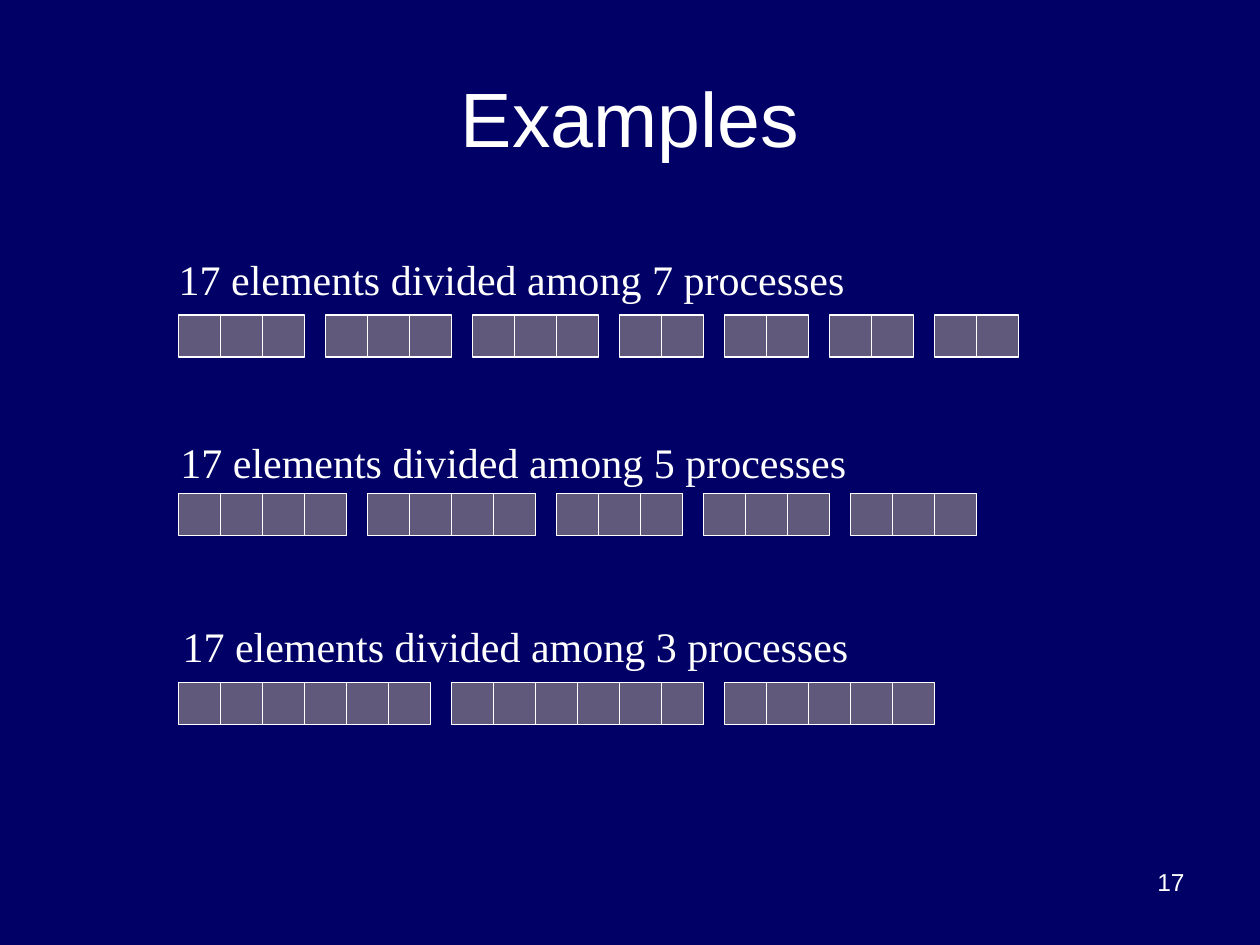
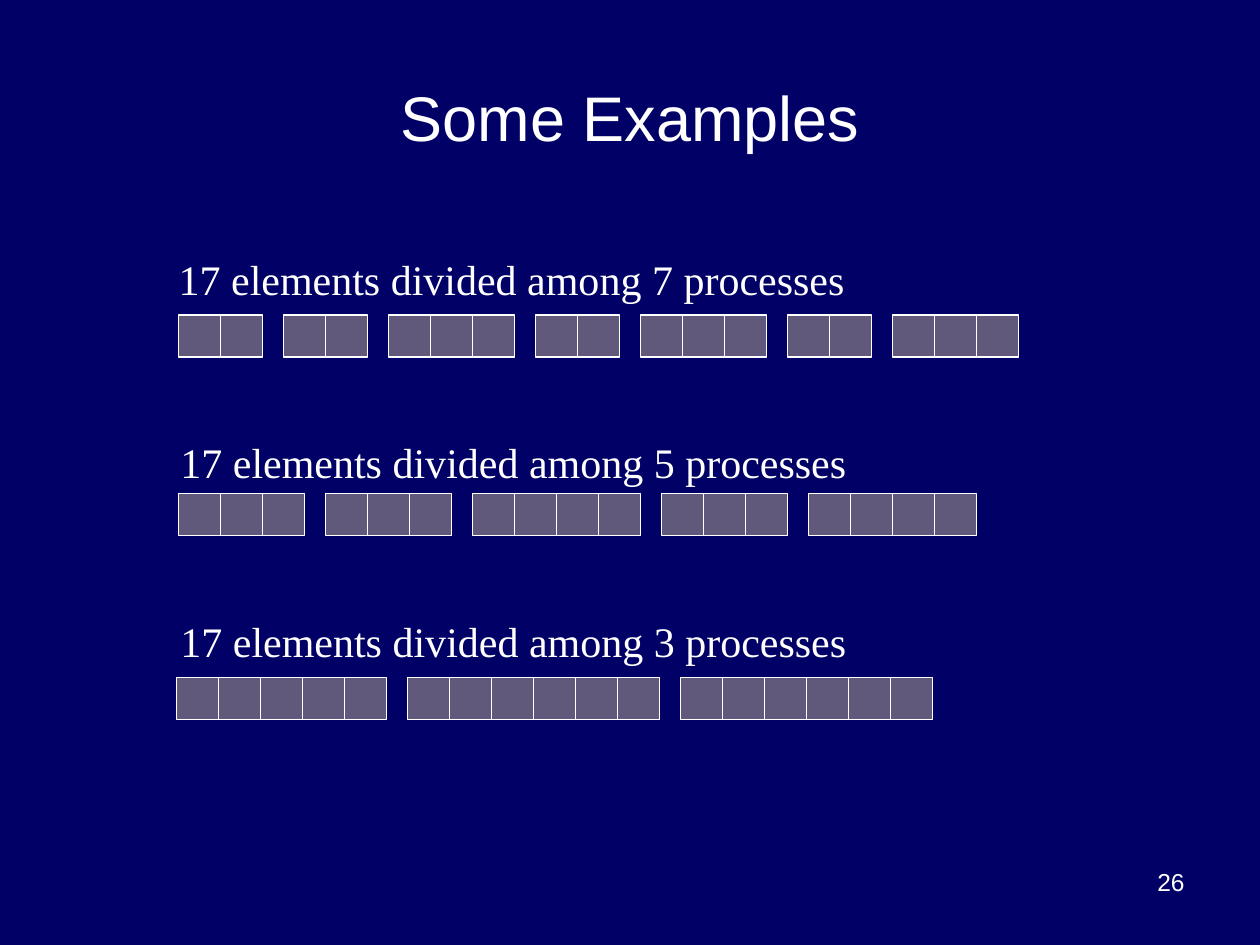
from pptx import Presentation
from pptx.dml.color import RGBColor
from pptx.enum.shapes import MSO_SHAPE
from pptx.enum.text import MSO_ANCHOR, MSO_AUTO_SIZE, PP_ALIGN
from pptx.util import Pt

RECTANGLE = MSO_SHAPE.RECTANGLE
MIDDLE = MSO_ANCHOR.MIDDLE
NO_AUTOFIT = MSO_AUTO_SIZE.NONE
LEFT, CENTER, RIGHT = PP_ALIGN.LEFT, PP_ALIGN.CENTER, PP_ALIGN.RIGHT

COLORS = {"background": "000066", "text": "FFFFFF", "cell": "60597B", "line": "FFFFFF"}
SANS, SERIF = "Arial", "Times New Roman"
TITLE_BOX = (36, 21.6, 648, 90)
NUMBER_BOX = (516, 492, 168, 37.5)
LABEL_SIZE = (400, 36)
CELL_SIZE = 24
BLOCK_GAP = 12
ELEMENTS = 17


def color(name):
    return RGBColor.from_string(COLORS[name])


def points(box):
    return [Pt(length) for length in box]


def write(shape, text, size, font_name, alignment):
    paragraph = shape.text_frame.paragraphs[0]
    paragraph.alignment = alignment
    run = paragraph.add_run()
    run.text = text
    run.font.size = Pt(size)
    run.font.name = font_name
    run.font.color.rgb = color("text")


def larger_blocks_first(elements, processes):
    """Return block sizes with the remainder spread over the first processes."""
    size, remainder = divmod(elements, processes)
    return [size + (rank < remainder) for rank in range(processes)]


def evenly_spread_blocks(elements, processes):
    """Return block sizes where each process starts at floor(rank * elements / processes)."""
    starts = [rank * elements // processes for rank in range(processes + 1)]
    return [end - start for start, end in zip(starts, starts[1:])]


def add_title(slide, text, size):
    title = slide.shapes.title
    title.left, title.top, title.width, title.height = points(TITLE_BOX)
    title.text_frame.vertical_anchor = MIDDLE
    title.text_frame.auto_size = NO_AUTOFIT
    write(title, text, size, SANS, CENTER)


def add_slide_number(slide, number):
    box = slide.shapes.add_textbox(*points(NUMBER_BOX))
    box.text_frame.word_wrap = True
    write(box, str(number), 14, SANS, RIGHT)


def add_cell(group, left, top):
    cell = group.shapes.add_shape(RECTANGLE, *points((left, top, CELL_SIZE, CELL_SIZE)))
    cell.shadow.inherit = False
    cell.fill.solid()
    cell.fill.fore_color.rgb = color("cell")
    cell.line.color.rgb = color("line")
    cell.line.width = Pt(0.75)


def add_division(slide, blocks, label_position, cells_position):
    """Add a label and, below it, one run of cells for each process."""
    group = slide.shapes.add_group_shape()
    label = group.shapes.add_textbox(*points(label_position + LABEL_SIZE))
    label.text_frame.word_wrap = False
    write(label, f"{sum(blocks)} elements divided among {len(blocks)} processes", 24, SERIF, LEFT)
    left, top = cells_position
    for block in blocks:
        for _ in range(block):
            add_cell(group, left, top)
            left += CELL_SIZE
        left += BLOCK_GAP


def add_examples_slide(presentation, title, title_size, number, divide, divisions):
    slide = presentation.slides.add_slide(presentation.slide_layouts.get_by_name("Title Only"))
    add_title(slide, title, title_size)
    for processes, label_position, cells_position in divisions:
        add_division(slide, divide(ELEMENTS, processes), label_position, cells_position)
    add_slide_number(slide, number)


def main():
    presentation = Presentation()
    presentation.slide_width, presentation.slide_height = Pt(720), Pt(540)
    background = presentation.slide_master.background.fill
    background.solid()
    background.fore_color.rgb = color("background")

    shared_divisions = [(7, (95, 141.3), (102, 180)), (5, (96, 246), (102, 282))]
    add_examples_slide(presentation, "Examples", 44, 17, larger_blocks_first,
                       shared_divisions + [(3, (97.2, 351), (102, 390))])
    add_examples_slide(presentation, "Some Examples", 36, 26, evenly_spread_blocks,
                       shared_divisions + [(3, (96, 348), (100.8, 387.2))])
    presentation.save("out.pptx")


if __name__ == "__main__":
    main()
